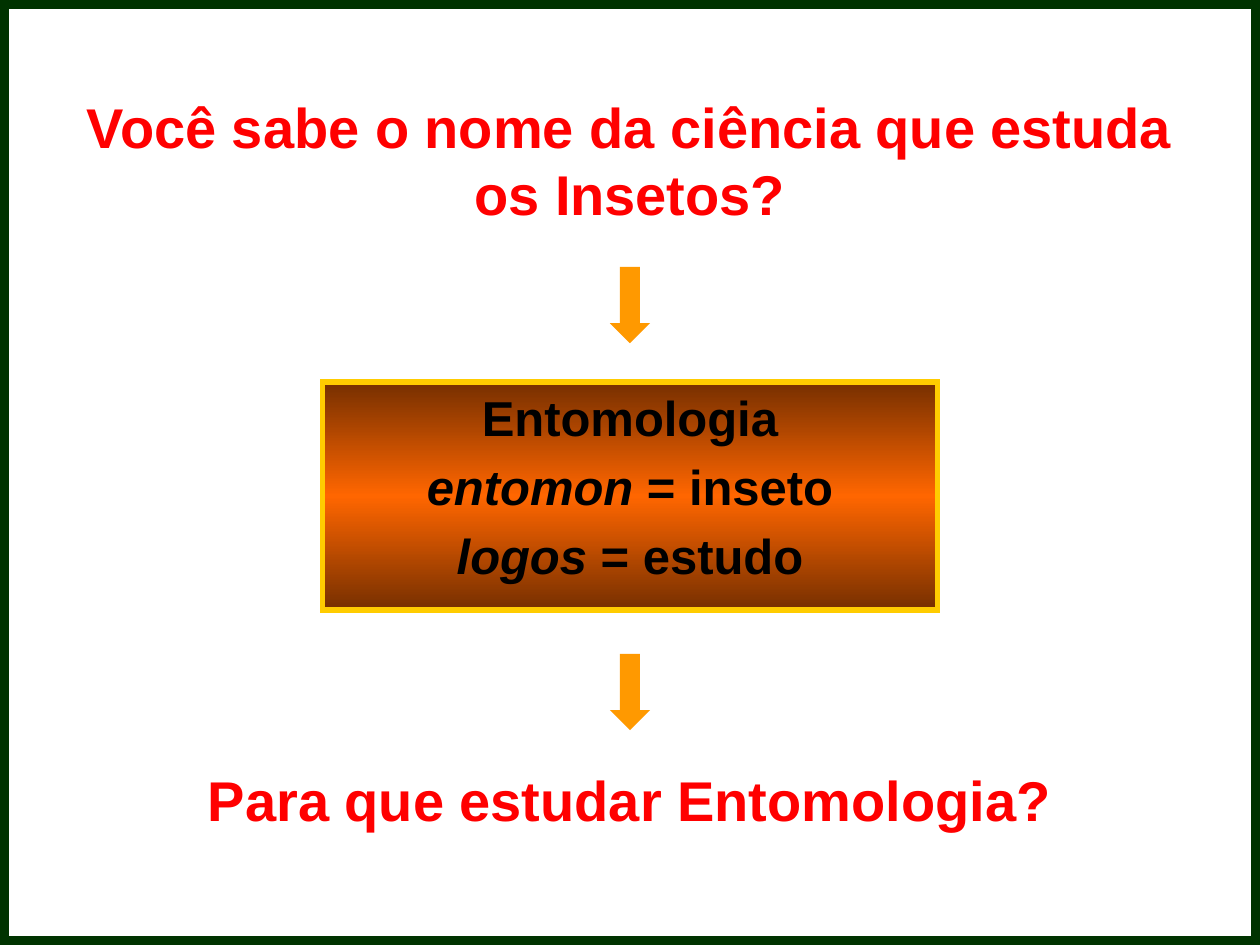
from copy import deepcopy
from dataclasses import dataclass

from lxml import etree
from pptx import Presentation
from pptx.dml.color import RGBColor
from pptx.enum.shapes import MSO_SHAPE
from pptx.enum.text import MSO_ANCHOR, PP_ALIGN
from pptx.oxml.ns import qn
from pptx.util import Cm, Pt


@dataclass(frozen=True)
class Theme:
    font: str = "Arial"
    question: RGBColor = RGBColor(0xFF, 0x00, 0x00)
    definition: RGBColor = RGBColor(0x00, 0x00, 0x00)
    arrow: RGBColor = RGBColor(0xFF, 0x99, 0x00)
    frame: RGBColor = RGBColor(0x00, 0x33, 0x00)
    box_edge: RGBColor = RGBColor(0xFF, 0xCC, 0x00)
    box_dark: RGBColor = RGBColor(0x76, 0x2F, 0x00)
    box_bright: RGBColor = RGBColor(0xFF, 0x66, 0x00)
    question_size: Pt = Pt(32)
    definition_size: Pt = Pt(28)
    definition_gap: Pt = Pt(5.6)
    frame_width: Pt = Pt(10)
    box_edge_width: Pt = Pt(3)


THEME = Theme()
SLIDE_WIDTH, SLIDE_HEIGHT = Cm(25.4), Cm(19.05)

# Text and distance from the top in centimetres
QUESTIONS = [
    ("Você sabe o nome da ciência que estuda os Insetos?", 1.63),
    ("Para que estudar Entomologia?", 14.51),
]
ARROW_TOPS = [5.38, 13.18]
# Each line: italic part, then upright part
DEFINITION = [("", "Entomologia"), ("entomon", " = inseto"), ("logos", " = estudo")]


def centred(top, width, height):
    """Left, top, width and height of an area centred across the slide."""
    return (SLIDE_WIDTH - Cm(width)) // 2, Cm(top), Cm(width), Cm(height)


def style_font(font, size, color):
    font.name = THEME.font
    font.size = size
    font.bold = True
    font.color.rgb = color


def add_plain_shape(slide, preset, area):
    shape = slide.shapes.add_shape(preset, *area)
    shape.shadow.inherit = False
    return shape


def set_edge(shape, color, width):
    """Solid outline with square corners."""
    shape.line.color.rgb = color
    shape.line.width = width
    outline = shape.element.spPr.find(qn("a:ln"))
    etree.SubElement(outline, qn("a:miter")).set("lim", "800000")


def add_question(slide, question, top):
    frame = slide.shapes.add_textbox(*centred(top, 22.86, 3.18)).text_frame
    frame.word_wrap = True
    frame.vertical_anchor = MSO_ANCHOR.MIDDLE
    frame.text = question
    paragraph = frame.paragraphs[0]
    paragraph.alignment = PP_ALIGN.CENTER
    style_font(paragraph.runs[0].font, THEME.question_size, THEME.question)


def fill_dark_bright_dark(fill):
    """Vertical gradient, brightest in the middle."""
    fill.gradient()
    fill.gradient_angle = 270
    first = fill.gradient_stops[0]._gs
    first.addnext(deepcopy(first))
    colors = (THEME.box_dark, THEME.box_bright, THEME.box_dark)
    for stop, position, color in zip(fill.gradient_stops, (0, 0.5, 1), colors):
        stop.position = position
        stop.color.rgb = color


def add_definition(slide):
    box = add_plain_shape(slide, MSO_SHAPE.RECTANGLE, centred(7.7, 12.4, 4.6))
    fill_dark_bright_dark(box.fill)
    set_edge(box, THEME.box_edge, THEME.box_edge_width)
    frame = box.text_frame
    frame.word_wrap = True
    frame.vertical_anchor = MSO_ANCHOR.TOP
    frame.margin_top = Cm(0.12)
    frame.text = "\n".join(italic for italic, _ in DEFINITION)
    for index, (paragraph, (_, upright)) in enumerate(zip(frame.paragraphs, DEFINITION)):
        paragraph.alignment = PP_ALIGN.CENTER
        if index:
            paragraph.space_before = THEME.definition_gap
        for italic_run in paragraph.runs:
            italic_run.font.italic = True
        paragraph.add_run().text = upright
        for run in paragraph.runs:
            style_font(run.font, THEME.definition_size, THEME.definition)


def add_frame(slide):
    border = add_plain_shape(slide, MSO_SHAPE.RECTANGLE, (0, 0, SLIDE_WIDTH, SLIDE_HEIGHT))
    border.fill.background()
    set_edge(border, THEME.frame, THEME.frame_width)


def add_arrow(slide, top):
    arrow = add_plain_shape(slide, MSO_SHAPE.DOWN_ARROW, centred(top, 0.81, 1.54))
    arrow.fill.solid()
    arrow.fill.fore_color.rgb = THEME.arrow
    arrow.line.fill.background()


def main():
    presentation = Presentation()
    presentation.slide_width, presentation.slide_height = SLIDE_WIDTH, SLIDE_HEIGHT
    slide = presentation.slides.add_slide(presentation.slide_layouts[6])
    opening, closing = QUESTIONS
    add_question(slide, *opening)
    add_definition(slide)
    add_frame(slide)
    add_question(slide, *closing)
    for top in ARROW_TOPS:
        add_arrow(slide, top)
    presentation.save("out.pptx")


if __name__ == "__main__":
    main()
